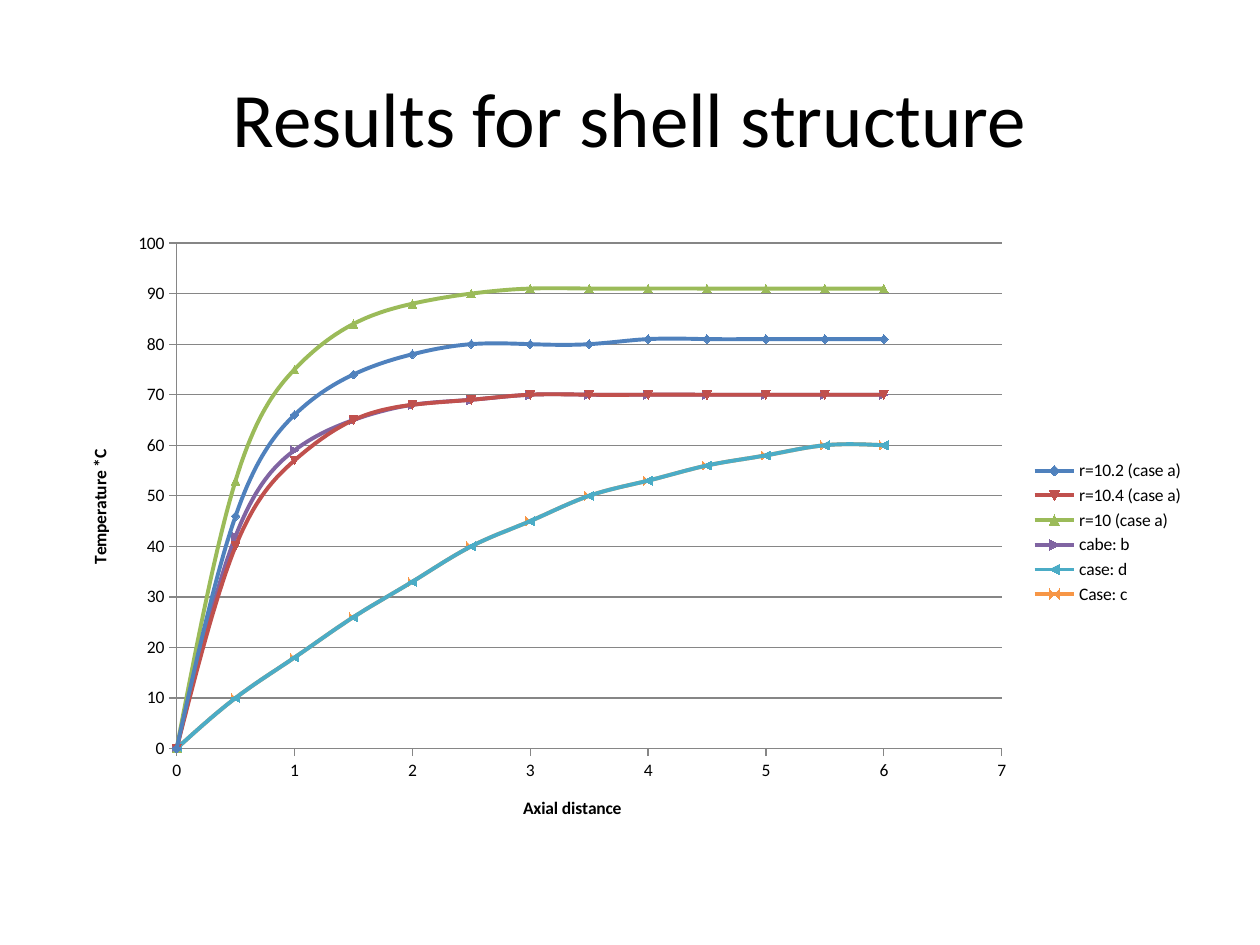
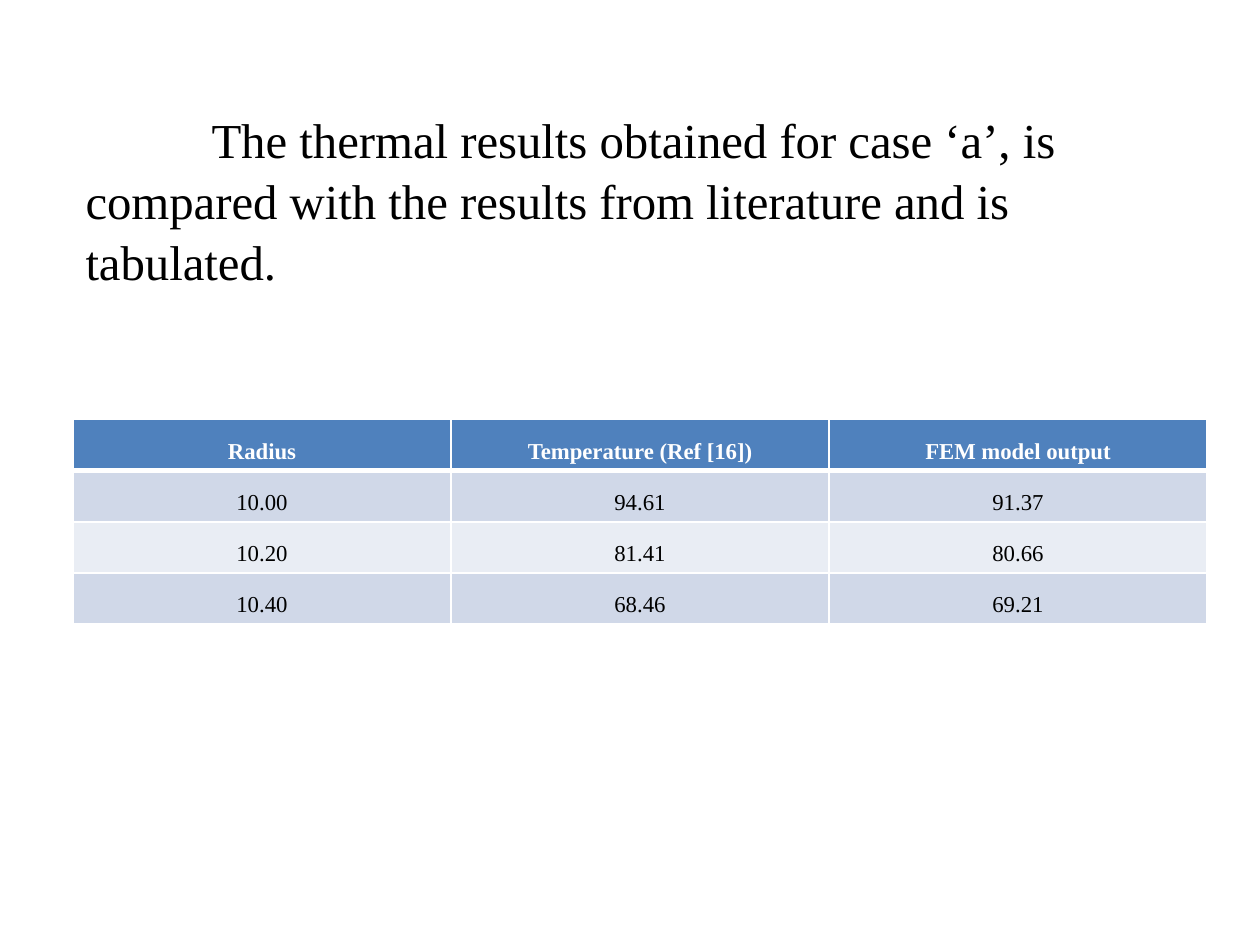
from dataclasses import dataclass

from lxml import etree
from pptx import Presentation
from pptx.chart.data import XyChartData
from pptx.dml.color import RGBColor
from pptx.enum.chart import XL_CHART_TYPE, XL_LEGEND_POSITION, XL_TICK_MARK
from pptx.enum.text import MSO_ANCHOR, MSO_AUTO_SIZE, PP_ALIGN
from pptx.oxml.ns import qn
from pptx.util import Cm, Pt

SMOOTH_SCATTER = XL_CHART_TYPE.XY_SCATTER_SMOOTH
LEGEND_RIGHT = XL_LEGEND_POSITION.RIGHT
TICK_OUTSIDE = XL_TICK_MARK.OUTSIDE
MIDDLE = MSO_ANCHOR.MIDDLE
NO_AUTOFIT = MSO_AUTO_SIZE.NONE
LEFT, CENTER = PP_ALIGN.LEFT, PP_ALIGN.CENTER


@dataclass(frozen=True)
class Theme:
    sans: str = "Calibri"
    serif: str = "Times New Roman"
    title_size: float = 44
    statement_size: float = 27.9
    table_size: float = 13
    chart_size: float = 10
    black: str = "000000"
    white: str = "FFFFFF"
    grid: str = "868686"
    header: str = "4F81BD"
    bands: tuple = ("D0D8E8", "E9EDF4")


theme = Theme()


def style_text(paragraph, font_name, size, color, alignment, bold=False):
    paragraph.alignment = alignment
    for run in paragraph.runs:
        run.font.name = font_name
        run.font.size = Pt(size)
        run.font.bold = bold
        run.font.color.rgb = RGBColor.from_string(color)


def add_cell_border(cell, side, points):
    """Draw one white edge; side is L, R, T or B, called in that order."""
    edge = etree.SubElement(cell._tc.get_or_add_tcPr(), qn(f"a:ln{side}"), w=str(Pt(points)))
    fill = etree.SubElement(edge, qn("a:solidFill"))
    etree.SubElement(fill, qn("a:srgbClr"), val=theme.white)


prs = Presentation()
prs.slide_width, prs.slide_height = Cm(25.4), Cm(19.05)
title_only = prs.slide_layouts[5]

# Slide 1: temperature curves
slide = prs.slides.add_slide(title_only)
title = slide.shapes.title
title.left, title.top, title.width, title.height = Cm(1.27), Cm(0.76), Cm(22.86), Cm(3.18)
title.text_frame.text = "Results for shell structure"
title.text_frame.vertical_anchor = MIDDLE
style_text(title.text_frame.paragraphs[0], theme.sans, theme.title_size, theme.black, CENTER)

curves = [
    ("r=10.2 (case a)", "4F81BD", [0, 46, 66, 74, 78, 80, 80, 80, 81, 81, 81, 81, 81]),
    ("r=10.4 (case a)", "C0504D", [0, 40, 57, 65, 68, 69, 70, 70, 70, 70, 70, 70, 70]),
    ("r=10 (case a)", "9BBB59", [0, 53, 75, 84, 88, 90, 91, 91, 91, 91, 91, 91, 91]),
    ("cabe: b", "8064A2", [0, 42, 59, 65, 68, 69, 70, 70, 70, 70, 70, 70, 70]),
    ("case: d", "4BACC6", [0, 10, 18, 26, 33, 40, 45, 50, 53, 56, 58, 60, 60]),
    ("Case: c", "F79646", [0, 10, 18, 26, 33, 40, 45, 50, 53, 56, 58, 60, 60]),
]
chart_data = XyChartData()
for name, _, temperatures in curves:
    series = chart_data.add_series(name)
    for step, temperature in enumerate(temperatures):
        series.add_data_point(step * 0.5, temperature)

chart = slide.shapes.add_chart(
    SMOOTH_SCATTER, Cm(1.27), Cm(4.45), Cm(22.86), Cm(12.57), chart_data
).chart
chart.has_title = False
chart.font.name = theme.sans
chart.font.size = Pt(theme.chart_size)
chart.font.color.rgb = RGBColor.from_string(theme.black)
chart.has_legend = True
chart.legend.position = LEGEND_RIGHT
chart.legend.include_in_layout = False

axes = [
    (chart.category_axis, "Axial distance", 7, 1, False),
    (chart.value_axis, "Temperature *C", 100, 10, True),
]
for axis, caption, maximum, unit, has_grid in axes:
    axis.minimum_scale, axis.maximum_scale, axis.major_unit = 0, maximum, unit
    axis.major_tick_mark = TICK_OUTSIDE
    axis.has_major_gridlines = has_grid
    axis_lines = [axis.format.line]
    if has_grid:
        axis_lines.append(axis.major_gridlines.format.line)
    for line in axis_lines:
        line.width = Pt(0.75)
        line.color.rgb = RGBColor.from_string(theme.grid)
    axis.axis_title.text_frame.text = caption
    style_text(axis.axis_title.text_frame.paragraphs[0], theme.sans, theme.chart_size,
               theme.black, CENTER, bold=True)

plot = chart.plots[0]
plot.vary_by_categories = False
for series, (_, color, _) in zip(plot.series, curves):
    series.format.line.width = Pt(2.25)
    series.format.line.color.rgb = RGBColor.from_string(color)
    for smooth in series._element.findall(qn("c:smooth")):
        smooth.set("val", "1")

# Slide 2: comparison with the literature
slide = prs.slides.add_slide(title_only)
statement = slide.shapes.title
statement.left, statement.top = Cm(1.47), Cm(2.41)
statement.width, statement.height = Cm(22.86), Cm(3.18)
frame = statement.text_frame
frame.text = ("The thermal results obtained for case ‘a’, is compared with "
              "the results from literature and is tabulated.")
frame.auto_size = NO_AUTOFIT
frame.vertical_anchor = MIDDLE
paragraph = frame.paragraphs[0]
paragraph._p.get_or_add_pPr().set("indent", str(Cm(2.54)))
paragraph.line_spacing = 1.04
style_text(paragraph, theme.serif, theme.statement_size, theme.black, LEFT)

comparison = [
    ("Radius", "Temperature (Ref [16])", "FEM model output"),
    ("10.00", "94.61", "91.37"),
    ("10.20", "81.41", "80.66"),
    ("10.40", "68.46", "69.21"),
]
table = slide.shapes.add_table(
    len(comparison), 3, Cm(1.47), Cm(8.46), Cm(22.86), Cm(4.12)
).table
for row_index, row in enumerate(comparison):
    is_header = row_index == 0
    fill_color = theme.header if is_header else theme.bands[(row_index - 1) % 2]
    text_color = theme.white if is_header else theme.black
    edge_widths = {"L": 1, "R": 1, "T": 3 if row_index == 1 else 1, "B": 3 if is_header else 1}
    for column_index, value in enumerate(row):
        cell = table.cell(row_index, column_index)
        cell.text_frame.text = value
        cell.vertical_anchor = MIDDLE
        cell.margin_left = cell.margin_right = Cm(0.18)
        cell.margin_top = cell.margin_bottom = 0
        for side, points in edge_widths.items():
            add_cell_border(cell, side, points)
        cell.fill.solid()
        cell.fill.fore_color.rgb = RGBColor.from_string(fill_color)
        paragraph = cell.text_frame.paragraphs[0]
        paragraph.line_spacing = 1.5
        style_text(paragraph, theme.serif, theme.table_size, text_color, CENTER, bold=is_header)

prs.save("out.pptx")
